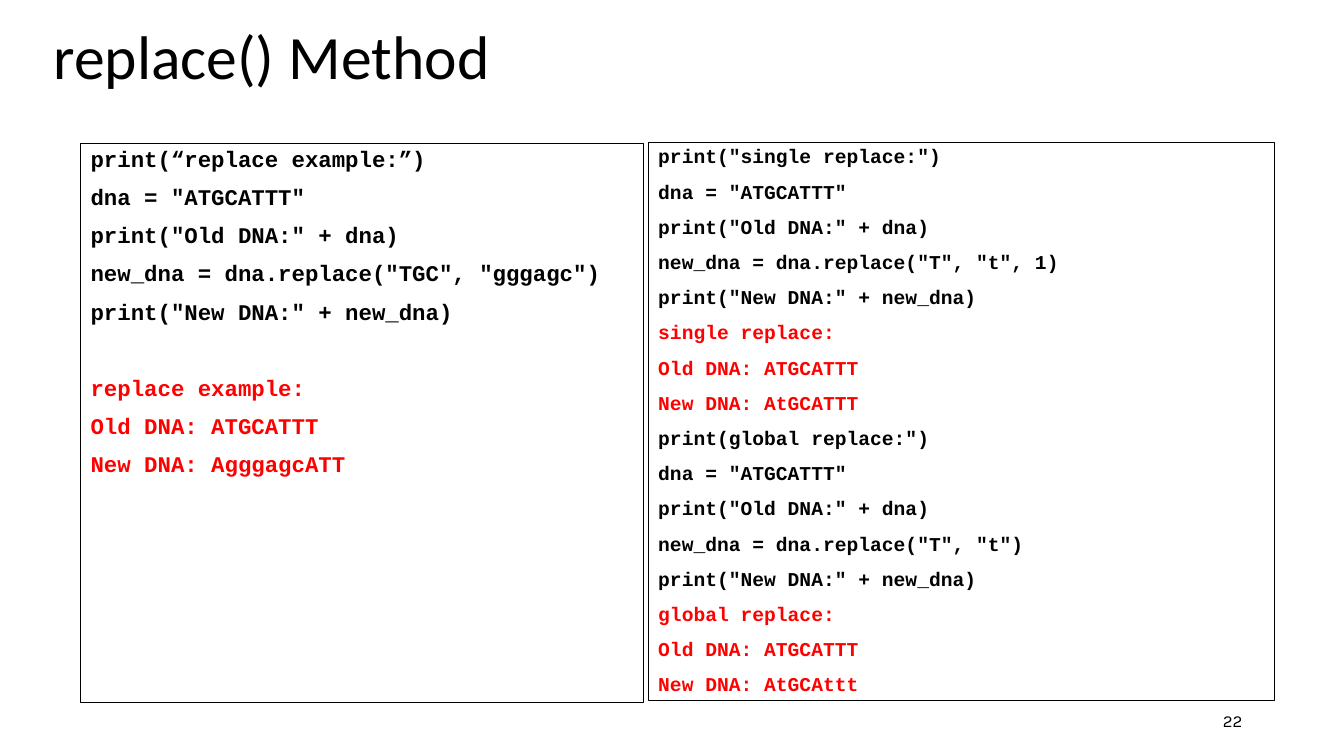
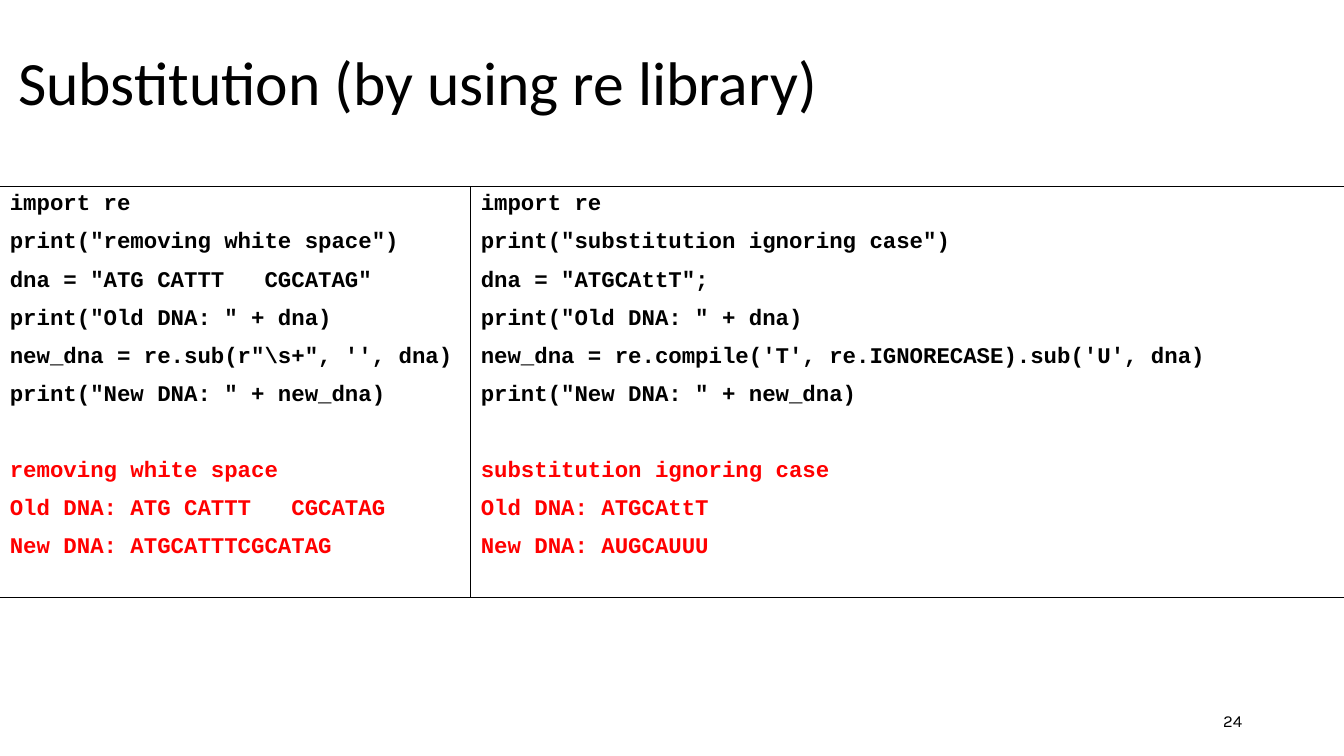
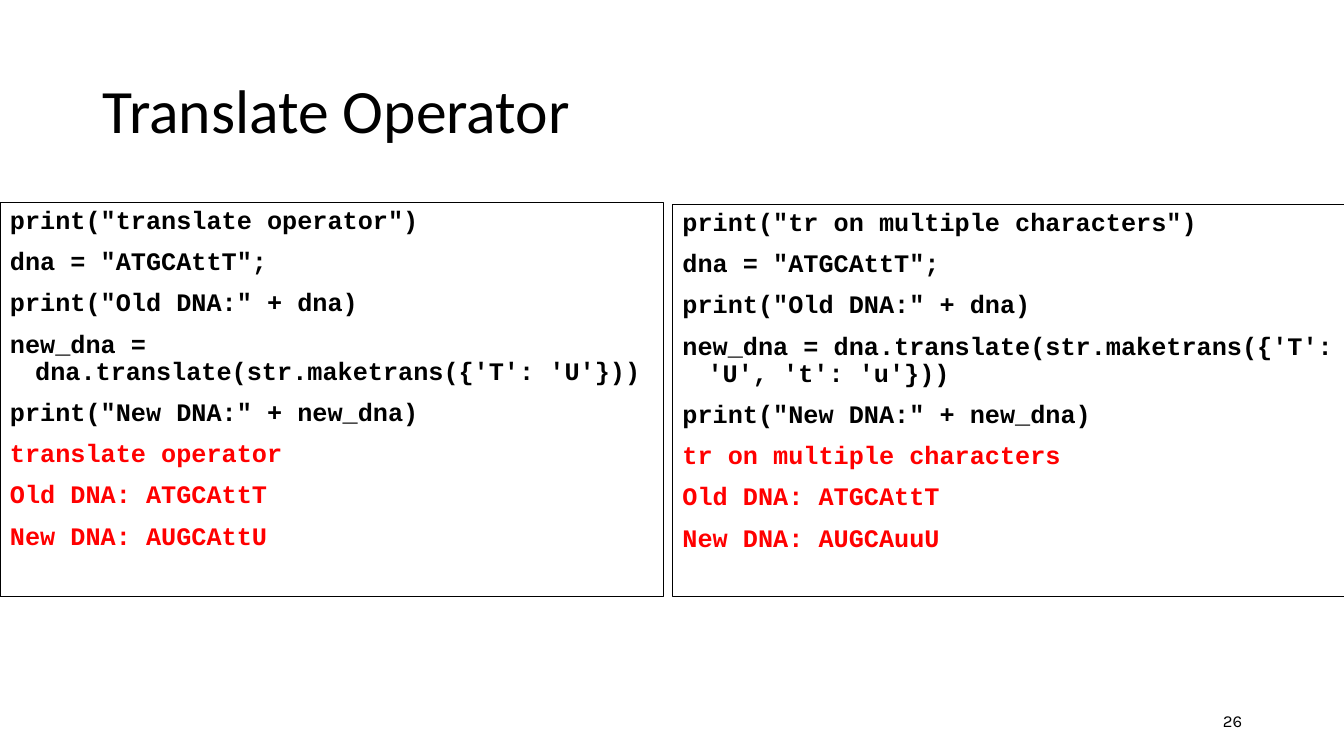
from pptx import Presentation
from pptx.dml.color import RGBColor
from pptx.enum.text import MSO_ANCHOR, MSO_AUTO_SIZE, PP_ALIGN
from pptx.util import Inches, Pt

COLORS = {"code": "000000", "output": "FF0000", "line": "000000", "text": "000000"}
FONTS = {"title": "Calibri", "code": "Courier New", "number": "Karla"}
TITLE_ONLY = 5
LINE_GAP, BLOCK_GAP = 10, 37

PRINT_OLD = 'print("Old DNA:" + dna)'
PRINT_NEW = 'print("New DNA:" + new_dna)'
PRINT_OLD_SPACED = 'print("Old DNA: " + dna)'
PRINT_NEW_SPACED = 'print("New DNA: " + new_dna)'

SLIDES = [
    {
        "title": "replace() Method", "title_at": (0.43, -0.13), "number": 22,
        "panels": [
            {"box": (0.8, 1.42, 5.58, 5.55), "size": 16, "gap": BLOCK_GAP, "blocks": [
                ("code", ["print(“replace example:”)", 'dna = "ATGCATTT"', PRINT_OLD,
                          'new_dna = dna.replace("TGC", "gggagc")', PRINT_NEW]),
                ("output", ["replace example:", "Old DNA: ATGCATTT",
                            "New DNA: AgggagcATT"]),
            ]},
            {"box": (6.43, 1.41, 6.21, 5.54), "size": 14, "gap": LINE_GAP, "blocks": [
                ("code", ['print("single replace:")', 'dna = "ATGCATTT"', PRINT_OLD,
                          'new_dna = dna.replace("T", "t", 1)', PRINT_NEW]),
                ("output", ["single replace:", "Old DNA: ATGCATTT", "New DNA: AtGCATTT"]),
                ("code", ['print(global replace:")', 'dna = "ATGCATTT"', PRINT_OLD,
                          'new_dna = dna.replace("T", "t")', PRINT_NEW]),
                ("output", ["global replace:", "Old DNA: ATGCATTT", "New DNA: AtGCAttt"]),
            ]},
        ],
    },
    {
        "title": "Substitution (by using re library)", "title_at": (0.08, 0.12), "number": 24,
        "panels": [
            {"box": (0, 1.85, 4.67, 4.08), "size": 16, "gap": BLOCK_GAP, "blocks": [
                ("code", ["import re", 'print("removing white space")',
                          'dna = "ATG CATTT   CGCATAG"', PRINT_OLD_SPACED,
                          "new_dna = re.sub(r\"\\s+\", '', dna)", PRINT_NEW_SPACED]),
                ("output", ["removing white space", "Old DNA: ATG CATTT   CGCATAG",
                            "New DNA: ATGCATTTCGCATAG"]),
            ]},
            {"box": (4.67, 1.85, 8.92, 4.08), "size": 16, "gap": BLOCK_GAP, "blocks": [
                ("code", ["import re", 'print("substitution ignoring case")',
                          'dna = "ATGCAttT";', PRINT_OLD_SPACED,
                          "new_dna = re.compile('T', re.IGNORECASE).sub('U', dna)",
                          PRINT_NEW_SPACED]),
                ("output", ["substitution ignoring case", "Old DNA: ATGCAttT",
                            "New DNA: AUGCAUUU"]),
            ]},
        ],
    },
    {
        "title": "Translate Operator", "title_at": (0.92, 0.4), "number": 26,
        "panels": [
            {"box": (0, 2.01, 6.58, 3.91), "size": 18, "gap": LINE_GAP, "blocks": [
                ("code", ['print("translate operator")', 'dna = "ATGCAttT";', PRINT_OLD,
                          "new_dna = dna.translate(str.maketrans({'T': 'U'}))", PRINT_NEW]),
                ("output", ["translate operator", "Old DNA: ATGCAttT",
                            "New DNA: AUGCAttU"]),
            ]},
            {"box": (6.67, 2.03, 6.67, 3.89), "size": 18, "gap": LINE_GAP, "blocks": [
                ("code", ['print("tr on multiple characters")', 'dna = "ATGCAttT";', PRINT_OLD,
                          "new_dna = dna.translate(str.maketrans({'T': 'U', 't': 'u'}))",
                          PRINT_NEW]),
                ("output", ["tr on multiple characters", "Old DNA: ATGCAttT",
                            "New DNA: AUGCAuuU"]),
            ]},
        ],
    },
]


def add_run(p, text, font, size, color, bold=False):
    """Add one formatted run to a paragraph."""
    r = p.add_run()
    r.text = text
    r.font.name = FONTS[font]
    r.font.size = Pt(size)
    r.font.bold = bold
    r.font.color.rgb = RGBColor.from_string(COLORS[color])


def set_title(s, text, left, top):
    """Place and format the title placeholder."""
    sp = s.shapes.title
    sp.left, sp.top, sp.width, sp.height = (Inches(v) for v in (left, top, 11.5, 1.45))
    tf = sp.text_frame
    tf.auto_size = MSO_AUTO_SIZE.NONE
    tf.vertical_anchor = MSO_ANCHOR.MIDDLE
    p = tf.paragraphs[0]
    p.alignment = PP_ALIGN.LEFT
    p.line_spacing = 0.9
    add_run(p, text, "title", 44, "text")


def add_text_box(s, box):
    """Add a wrapping text box and return it."""
    sp = s.shapes.add_textbox(*(Inches(v) for v in box))
    sp.text_frame.word_wrap = True
    return sp


def add_number(s, number):
    """Add the slide number at the bottom right."""
    tf = add_text_box(s, (9.42, 6.95, 3, 0.4)).text_frame
    tf.vertical_anchor = MSO_ANCHOR.MIDDLE
    p = tf.paragraphs[0]
    p.alignment = PP_ALIGN.RIGHT
    add_run(p, str(number), "number", 12, "text")


def add_panel(s, box, size, gap, blocks):
    """Add an outlined panel of code blocks and their output."""
    sp = add_text_box(s, box)
    sp.line.color.rgb = RGBColor.from_string(COLORS["line"])
    sp.line.width = Pt(0.75)
    tf = sp.text_frame
    p = tf.paragraphs[0]
    for b, (kind, lines) in enumerate(blocks):
        for i, line in enumerate(lines):
            if b or i:
                p = tf.add_paragraph()
            p.line_spacing = 0.9
            p.space_before = Pt(gap if b and i == 0 else LINE_GAP)
            pPr = p._p.get_or_add_pPr()
            pPr.set("marL", str(Inches(0.25)))
            pPr.set("indent", str(Inches(-0.25)))
            add_run(p, line, "code", size, kind, bold=True)


def main():
    """Build and save the presentation."""
    prs = Presentation()
    prs.slide_width, prs.slide_height = Inches(13.33), Inches(7.5)
    for content in SLIDES:
        s = prs.slides.add_slide(prs.slide_layouts[TITLE_ONLY])
        set_title(s, content["title"], *content["title_at"])
        add_number(s, content["number"])
        for panel in content["panels"]:
            add_panel(s, **panel)
    prs.save("out.pptx")


main()
